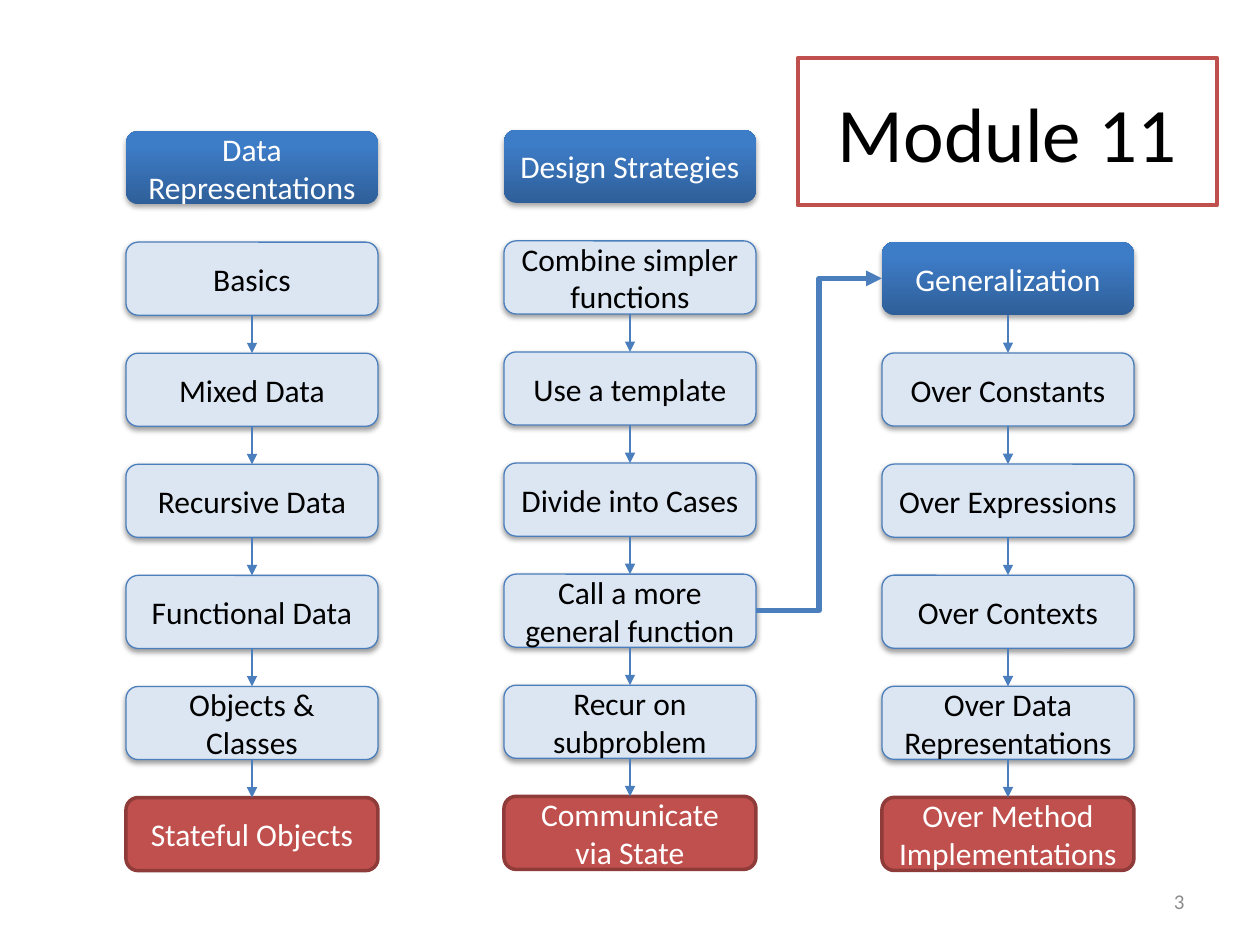
from lxml.etree import SubElement
from pptx import Presentation
from pptx.dml.color import RGBColor
from pptx.enum.shapes import MSO_CONNECTOR as LINK, MSO_SHAPE as SHAPE
from pptx.enum.text import MSO_ANCHOR as ANCHOR, MSO_AUTO_SIZE as FIT, PP_ALIGN as ALIGN
from pptx.oxml import parse_xml
from pptx.oxml.ns import nsdecls, qn
from pptx.util import Inches, Pt

TITLE = "Module 11"
PAGE = "3"
# left, top, whether the header is linked to the first step, header and steps
COLUMNS = [
    (1, 1.04, False, ["Data Representations", "Basics", "Mixed Data", "Recursive Data",
                      "Functional Data", "Objects & Classes", "Stateful Objects"]),
    (4, 1.03, False, ["Design Strategies", "Combine simpler functions", "Use a template",
                      "Divide into Cases", "Call a more general function",
                      "Recur on subproblem", "Communicate via State"]),
    (7, 1.92, True, ["Generalization", "Over Constants", "Over Expressions", "Over Contexts",
                     "Over Data Representations", "Over Method Implementations"]),
]
JUMP = ("Call a more general function", "Generalization")

BOX_W, BOX_H = 2, 0.58
PITCH = 5.29 / 6
BLUE, PALE, RED, MAROON = "4B7EBC", "DCE6F2", "C0504D", "8E3B39"
DARK, MID = "2F5F99", "3D7CC7"
WHITE, BLACK, GREY = "FFFFFF", "000000", "8C8C8C"
TOP, LEFT, BOTTOM, RIGHT = range(4)


def color(code):
    return RGBColor.from_string(code)


def write(shape, text, size=18, ink=BLACK, align=ALIGN.CENTER):
    frame = shape.text_frame
    frame.word_wrap = True
    frame.auto_size = FIT.NONE
    frame.vertical_anchor = ANCHOR.MIDDLE
    para = frame.paragraphs[0]
    para.text = text
    para.alignment = align
    para.font.name = "Calibri"
    para.font.size = Pt(size)
    para.font.color.rgb = color(ink)


def outline(shape, code, width):
    shape.line.color.rgb = color(code)
    shape.line.width = Pt(width)


def shade(shape, alpha, dist):
    """Add a soft shadow below the shape; alpha in percent, dist in points."""
    shape.shadow.inherit = False
    effects = shape._element.spPr.find(qn("a:effectLst"))
    effects.append(parse_xml(
        f'<a:outerShdw {nsdecls("a")} blurRad="{Pt(3.1)}" dist="{Pt(dist)}" '
        f'dir="5400000" rotWithShape="0"><a:srgbClr val="000000">'
        f'<a:alpha val="{alpha * 1000}"/></a:srgbClr></a:outerShdw>'))


def add_box(slide, text, left, top, role):
    box = slide.shapes.add_shape(SHAPE.ROUNDED_RECTANGLE, Inches(left), Inches(top),
                                 Inches(BOX_W), Inches(BOX_H))
    box.shadow.inherit = False
    if role == "head":
        box.fill.gradient()
        box.fill.gradient_angle = 90
        for stop, (place, code) in zip(box.fill.gradient_stops, [(0, DARK), (0.8, MID)]):
            stop.position = place
            stop.color.rgb = color(code)
        box.line.fill.background()
        shade(box, 35, 1.8)
    else:
        last = role == "last"
        box.fill.solid()
        box.fill.fore_color.rgb = color(RED if last else PALE)
        outline(box, MAROON if last else BLUE, 2 if last else 0.75)
        if not last:
            shade(box, 38, 1.6)
    write(box, text, ink=BLACK if role == "step" else WHITE)
    return box


def add_arrow(slide, start, end, kind=LINK.STRAIGHT, sides=(BOTTOM, TOP), width=0.75):
    arrow = slide.shapes.add_connector(kind, 0, 0, 0, 0)
    arrow.begin_connect(start, sides[0])
    arrow.end_connect(end, sides[1])
    outline(arrow, BLUE, width)
    SubElement(arrow.line._get_or_add_ln(), qn("a:tailEnd"), type="triangle")
    SubElement(arrow._element.spPr, qn("a:effectLst"))


def add_title(slide):
    title = slide.shapes.title
    title.left, title.top = Inches(6.33), Inches(0.46)
    title.width, title.height = Inches(3.33), Inches(1.17)
    geom = SubElement(title._element.spPr, qn("a:prstGeom"), prst="roundRect")
    SubElement(geom, qn("a:avLst"))
    outline(title, RED, 2.25)
    write(title, TITLE, size=44)


def main():
    deck = Presentation()
    deck.slide_width, deck.slide_height = Inches(10), Inches(7.5)
    slide = deck.slides.add_slide(deck.slide_layouts.get_by_name("Title Only"))
    add_title(slide)

    boxes = {}
    for left, top, linked, names in COLUMNS:
        for row, name in enumerate(names):
            role = "head" if row == 0 else "last" if name == names[-1] else "step"
            boxes[name] = add_box(slide, name, left, top + row * PITCH, role)
        chain = names if linked else names[1:]
        for start, end in zip(chain, chain[1:]):
            add_arrow(slide, boxes[start], boxes[end])
    add_arrow(slide, *(boxes[name] for name in JUMP), kind=LINK.ELBOW,
              sides=(RIGHT, LEFT), width=3)

    page = slide.shapes.add_textbox(Inches(7.17), Inches(6.95), Inches(2.33), Inches(0.4))
    write(page, PAGE, size=12, ink=GREY, align=ALIGN.RIGHT)
    deck.save("out.pptx")


if __name__ == "__main__":
    main()
